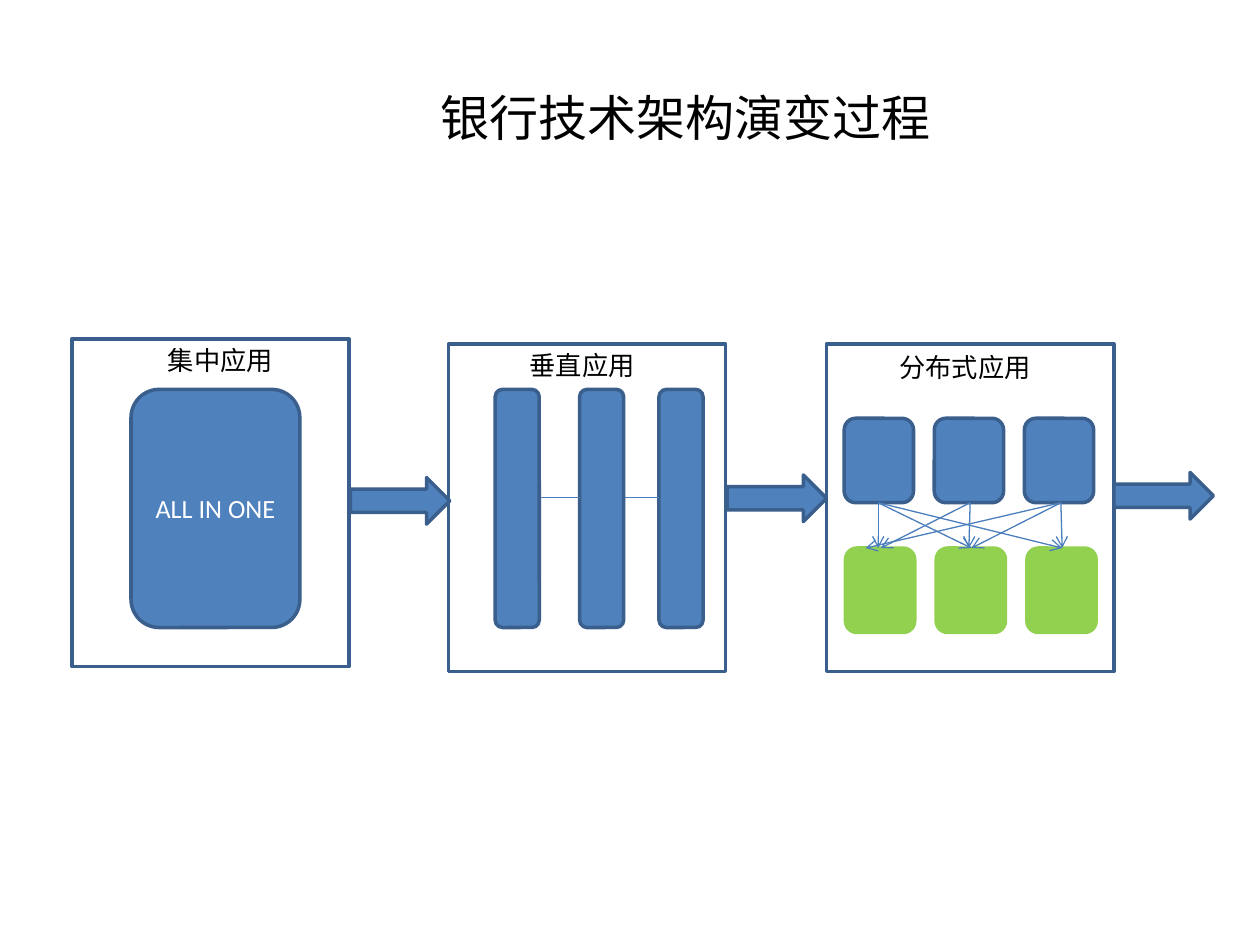
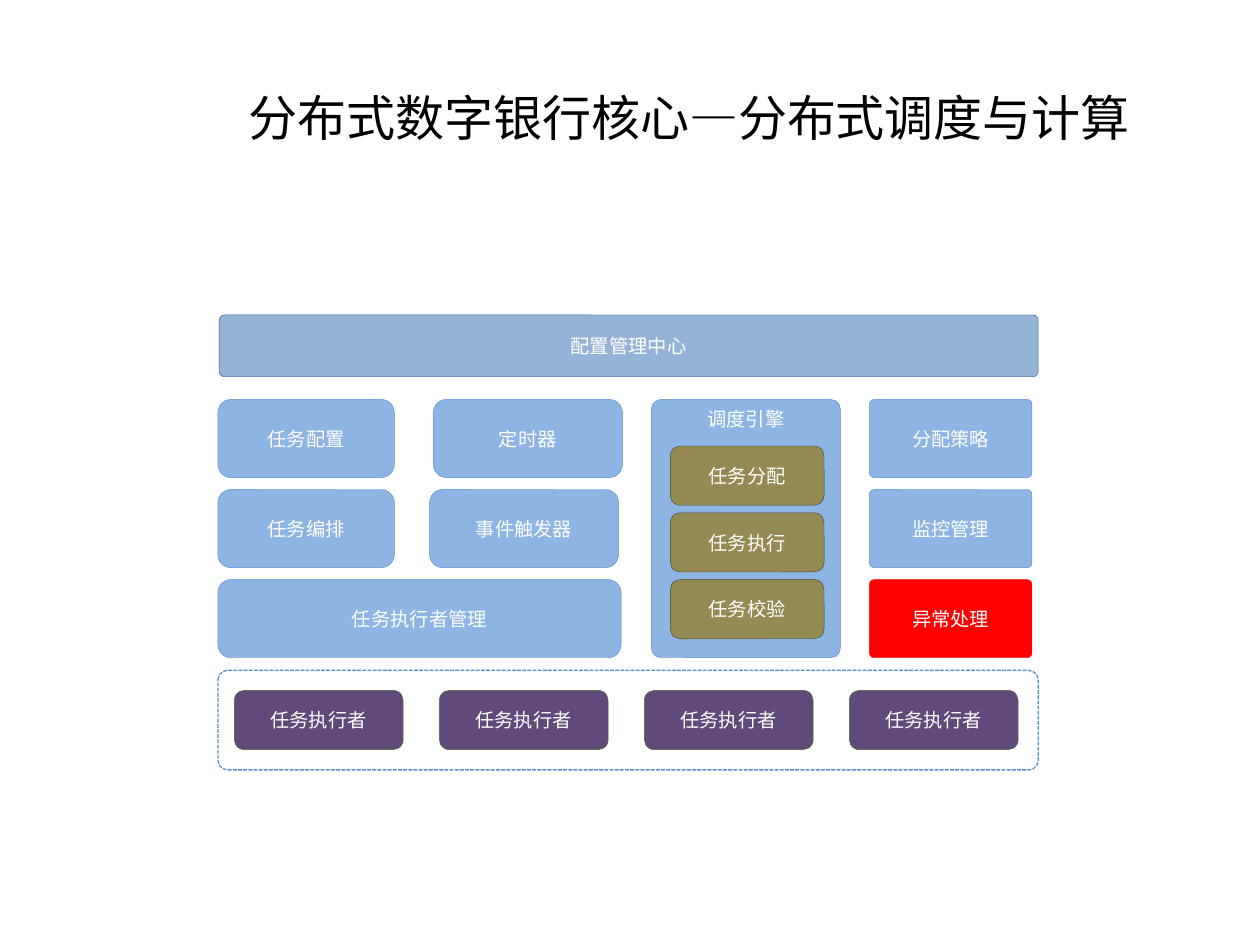
import pptx
import pptx.util
import pptx.dml.color
import pptx.enum.dml
import pptx.enum.shapes
import pptx.enum.text
import pptx.oxml
import pptx.oxml.ns
from lxml import etree

Inches = pptx.util.Inches
Pt = pptx.util.Pt
RGBColor = pptx.dml.color.RGBColor
SHAPE = pptx.enum.shapes.MSO_SHAPE
ANCHOR = pptx.enum.text.MSO_ANCHOR
qn = pptx.oxml.ns.qn

BLACK = RGBColor(0x00, 0x00, 0x00)
WHITE = RGBColor(0xFF, 0xFF, 0xFF)
BLUE = RGBColor(0x4F, 0x81, 0xBD)
NAVY = RGBColor(0x3A, 0x5F, 0x8C)
LINK = RGBColor(0x4B, 0x7E, 0xBC)
GREEN = RGBColor(0x92, 0xD0, 0x50)
SKY = RGBColor(0x8E, 0xB4, 0xE3)
SKY_EDGE = RGBColor(0x55, 0x8E, 0xD5)
STEEL = RGBColor(0x95, 0xB3, 0xD7)
STEEL_EDGE = RGBColor(0x37, 0x60, 0x92)
PURPLE = RGBColor(0x60, 0x4A, 0x7B)
PURPLE_EDGE = RGBColor(0x4F, 0x62, 0x28)
OLIVE = RGBColor(0x94, 0x8A, 0x54)
OLIVE_EDGE = RGBColor(0x4A, 0x45, 0x2A)
RED = RGBColor(0xFF, 0x00, 0x00)

CJK = "Noto Sans CJK SC"
LATIN = "Calibri"

PANEL = {"fill": WHITE, "line": NAVY, "width": 2}
SOLID = {"fill": BLUE, "line": NAVY, "width": 2}
SERVICE = {"fill": GREEN, "line": GREEN, "width": 2}
MODULE = {"fill": SKY, "line": SKY_EDGE}
SIDE = {"fill": SKY, "line": SKY_EDGE, "adj": 0.062}
ALERT = {"fill": RED, "line": RED, "adj": 0.062}
ENGINE = {"fill": SKY, "line": SKY_EDGE, "adj": 0.051, "anchor": ANCHOR.TOP}
STEP = {"fill": OLIVE, "line": OLIVE_EDGE}
WORKER = {"fill": PURPLE, "line": PURPLE_EDGE}
CENTER = {"fill": STEEL, "line": STEEL_EDGE, "adj": 0.084}
POOL = {"fill": None, "line": SKY_EDGE, "width": 0.75, "adj": 0.095, "dashed": True}


def write(sp, text, size, color, font=CJK, anchor=ANCHOR.MIDDLE):
    tf = sp.text_frame
    frame = {"word_wrap": True, "vertical_anchor": anchor,
             "margin_left": Inches(0.08), "margin_right": Inches(0.08),
             "margin_top": Inches(0.04), "margin_bottom": Inches(0.04)}
    for name, value in frame.items():
        setattr(tf, name, value)
    p = tf.paragraphs[0]
    p.alignment = pptx.enum.text.PP_ALIGN.CENTER
    r = p.add_run()
    r.text = text
    for name, value in {"size": Pt(size), "name": font}.items():
        setattr(r.font, name, value)
    r.font.color.rgb = color
    etree.SubElement(r.font._element, qn("a:ea")).set("typeface", font)


def add_text(s, x, y, w, h, text, size, anchor):
    sp = s.shapes.add_textbox(Inches(x), Inches(y), Inches(w), Inches(h))
    write(sp, text, size, BLACK, anchor=anchor)


def add_box(s, x, y, w, h, style, text="", kind=SHAPE.ROUNDED_RECTANGLE,
            size=11, font=CJK):
    sp = s.shapes.add_shape(kind, Inches(x), Inches(y), Inches(w), Inches(h))
    sp.shadow.inherit = False
    if style["fill"] is None:
        sp.fill.background()
    else:
        sp.fill.solid()
        sp.fill.fore_color.rgb = style["fill"]
    sp.line.color.rgb = style["line"]
    sp.line.width = Pt(style.get("width", 0.25))
    if style.get("dashed"):
        sp.line.dash_style = pptx.enum.dml.MSO_LINE.SQUARE_DOT
    if "adj" in style:
        sp.adjustments[0] = style["adj"]
    if text:
        write(sp, text, size, WHITE, font, style.get("anchor", ANCHOR.MIDDLE))


def add_link(s, x1, y1, x2, y2, arrow=False):
    c = s.shapes.add_connector(pptx.enum.shapes.MSO_CONNECTOR.STRAIGHT,
                               Inches(x1), Inches(y1), Inches(x2), Inches(y2))
    c.line.color.rgb = LINK
    c.line.width = Pt(0.75)
    if arrow:
        etree.SubElement(c.line._get_or_add_ln(), qn("a:tailEnd")).set("type", "arrow")
    etree.SubElement(c._element.spPr, qn("a:effectLst"))


def add_titled_slide(prs, title, x, w):
    s = prs.slides.add_slide(prs.slide_layouts[6])
    add_text(s, x, 0.3, w, 1.25, title, 28, ANCHOR.MIDDLE)
    return s


def add_panel(s, x, y, w, label, label_x, label_y=0):
    add_box(s, x, y, w, 2.6, PANEL, kind=SHAPE.RECTANGLE)
    add_text(s, x + label_x, y + label_y, 1.3, 0.33, label, 15, ANCHOR.TOP)


def centralized_panel(s, x, y):
    add_panel(s, x, y, 2.2, "集中应用", 0.53)
    add_box(s, x + 0.47, y + 0.4, 1.34, 1.89, SOLID, "ALL IN ONE", size=15, font=LATIN)


def vertical_panel(s, x, y):
    add_panel(s, x, y, 2.2, "垂直应用", 0.41)
    columns = [x + dx for dx in (0.37, 1.04, 1.67)]
    for column in columns:
        add_box(s, column, y + 0.36, 0.35, 1.89, SOLID)
    for left, right in zip(columns, columns[1:]):
        add_link(s, left + 0.36, y + 1.22, right, y + 1.22)


def distributed_panel(s, x, y):
    add_panel(s, x, y, 2.28, "分布式应用", 0.45, 0.02)
    for i in range(3):
        add_box(s, x + 0.14 + i * 0.715, y + 0.59, 0.55, 0.67, SOLID)
        add_box(s, x + 0.15 + i * 0.72, y + 1.62, 0.55, 0.67, SERVICE)
    calls = [(0.41, (0.41, 1.15, 1.87)),
             (1.14, (0.43, 1.13)),
             (1.86, (0.31, 1.15, 1.87))]
    for start, ends in calls:
        for end in ends:
            add_link(s, x + start, y + 1.26, x + end, y + 1.62, arrow=True)


def evolution_slide(prs):
    s = add_titled_slide(prs, "银行技术架构演变过程", 0.98, 8.92)
    centralized_panel(s, 0.57, 2.69)
    vertical_panel(s, 3.56, 2.73)
    distributed_panel(s, 6.56, 2.73)
    for x, y in ((2.78, 3.79), (5.77, 3.77), (8.84, 3.75)):
        add_box(s, x, y, 0.79, 0.37, SOLID, kind=SHAPE.RIGHT_ARROW)


ROW_STEP = 0.715


def task_modules(s, x, y):
    rows = [("任务配置", "定时器", 1.71), ("任务编排", "事件触发器", 1.68)]
    for i, (task, trigger, trigger_x) in enumerate(rows):
        add_box(s, x, y + i * ROW_STEP, 1.4, 0.62, MODULE, task)
        add_box(s, x + trigger_x, y + i * ROW_STEP, 1.5, 0.62, MODULE, trigger)
    add_box(s, x, y + 2 * ROW_STEP, 3.2, 0.62, MODULE, "任务执行者管理")


def scheduling_engine(s, x, y):
    add_box(s, x, y, 1.5, 2.05, ENGINE, "调度引擎")
    for i, step in enumerate(("任务分配", "任务执行", "任务校验")):
        add_box(s, x + 0.15, y + 0.37 + i * 0.53, 1.22, 0.47, STEP, step)


def control_modules(s, x, y):
    modules = [("分配策略", SIDE), ("监控管理", SIDE), ("异常处理", ALERT)]
    for i, (name, style) in enumerate(modules):
        add_box(s, x, y + i * ROW_STEP, 1.29, 0.62, style, name)


def worker_pool(s, x, y):
    add_box(s, x, y, 6.51, 0.79, POOL)
    for i in range(4):
        add_box(s, x + 0.13 + i * 1.627, y + 0.16, 1.34, 0.47, WORKER, "任务执行者")


def scheduling_slide(prs):
    s = add_titled_slide(prs, "分布式数字银行核心—分布式调度与计算", 0.94, 9.06)
    add_box(s, 1.74, 2.5, 6.5, 0.49, CENTER, "配置管理中心")
    task_modules(s, 1.73, 3.17)
    scheduling_engine(s, 5.17, 3.17)
    control_modules(s, 6.9, 3.17)
    worker_pool(s, 1.73, 5.32)


def main():
    prs = pptx.Presentation()
    prs.slide_width = Inches(10)
    prs.slide_height = Inches(7.5)
    evolution_slide(prs)
    scheduling_slide(prs)
    prs.save("out.pptx")


if __name__ == "__main__":
    main()
